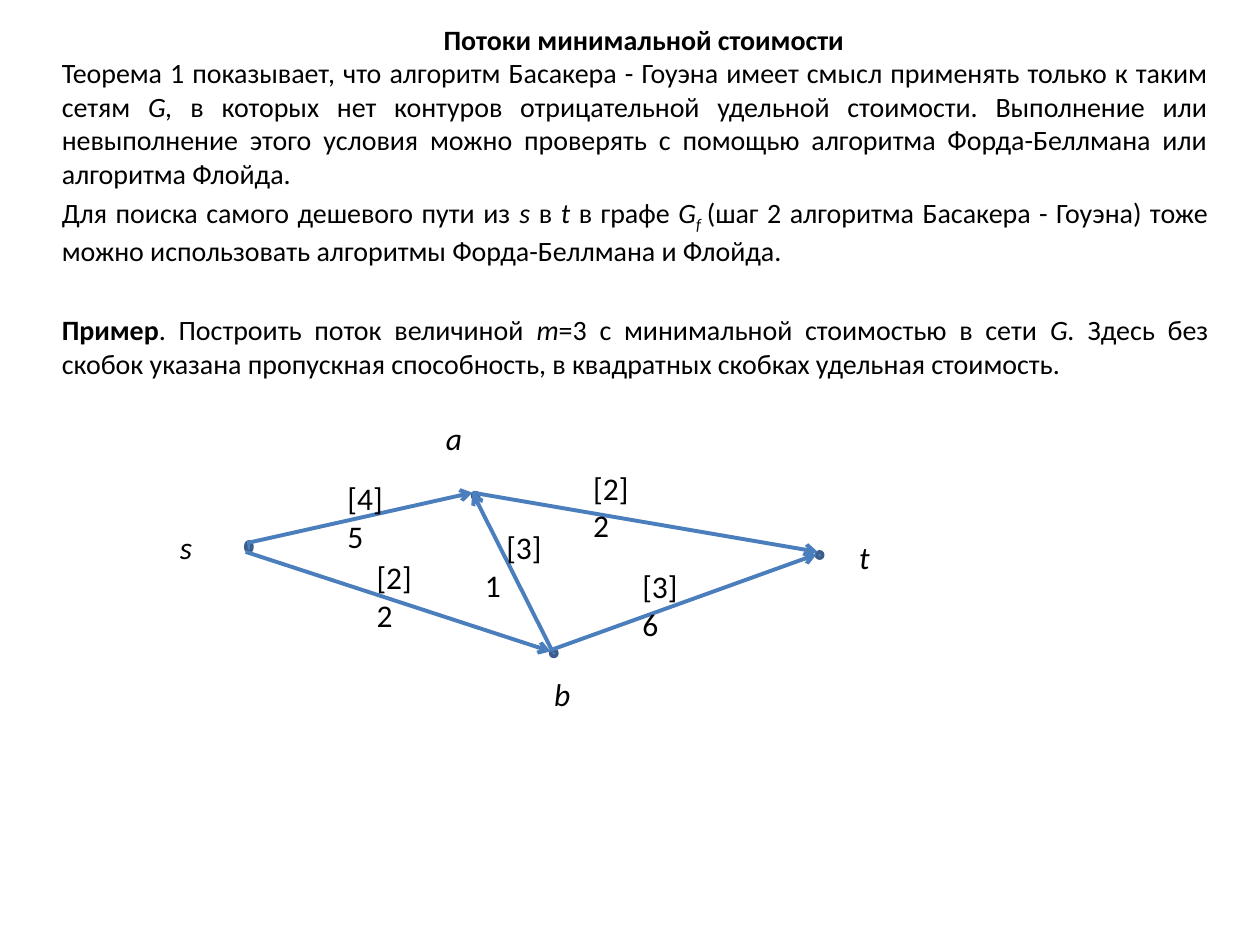
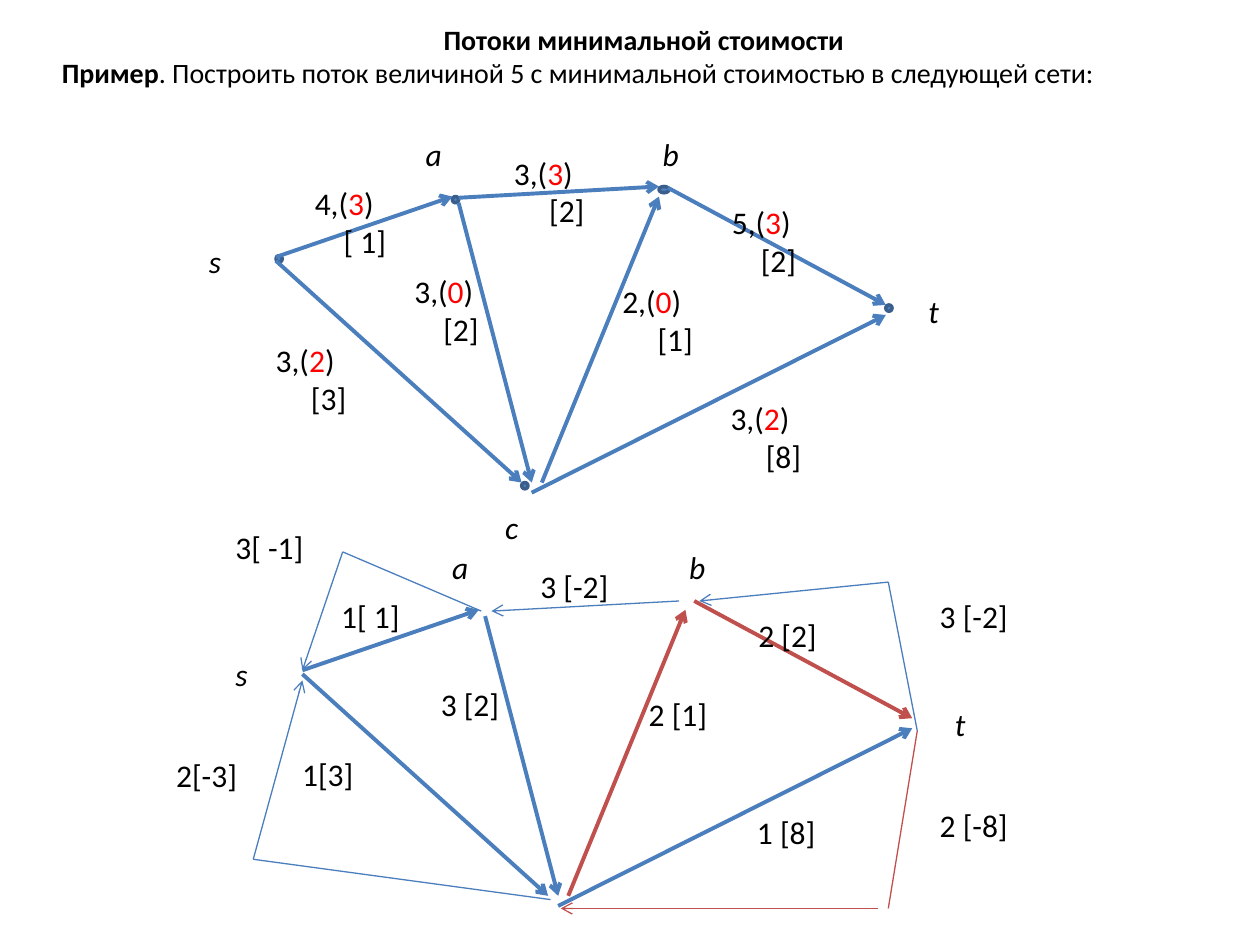
from itertools import pairwise

from pptx import Presentation
from pptx.dml.color import RGBColor
from pptx.enum.shapes import MSO_CONNECTOR, MSO_SHAPE
from pptx.enum.text import MSO_ANCHOR, MSO_AUTO_SIZE, PP_ALIGN
from pptx.oxml.xmlchemy import OxmlElement
from pptx.util import Pt

PX = 9144  # 100 px to the inch
FONT = "Calibri"
TITLE = "Потоки минимальной стоимости"
COLORS = {"text": "000000", "flow": "FF0000", "dot": "4F81BD", "dot_line": "3A5F8C",
          "arc": "4B7EBC", "path": "C0504D"}

# Arcs of the five-vertex network: start, end, label box (left, top, width), cost indent
ARCS = {
    "sa": ((110, 118), (250, 70), (131, 55, 80), 23),
    "ab": ((255, 71), (414, 62), (289, 31, 79), 28),
    "sc": ((110, 121), (305, 297), (100, 180, 80), 28),
    "bt": ((421, 63), (594, 156), (462, 70, 78), 23),
    "ct": ((313, 305), (594, 164), (461, 226, 87), 28),
    "ac": ((255, 75), (313, 297), (210, 125, 80), 23),
    "cb": ((321, 297), (414, 70), (375, 133, 79), 28),
}
VERTEX_NAMES = {"s": (47, 101), "a": (219, 16), "b": (407, 16), "t": (618, 141)}


def rgb(name):
    return RGBColor.from_string(COLORS[name])


def place(shape, left, top, width, height):
    shape.left, shape.top = left * PX, top * PX
    shape.width, shape.height = width * PX, height * PX


def style(font, size, color="text"):
    font.name, font.size = FONT, Pt(size)
    font.color.rgb = rgb(color)


def add_heading(slide):
    title = slide.shapes.title
    place(title, 86, 16, 850, 31)
    frame = title.text_frame
    frame.text = TITLE
    frame.vertical_anchor = MSO_ANCHOR.MIDDLE
    frame.auto_size = MSO_AUTO_SIZE.NONE
    paragraph = frame.paragraphs[0]
    paragraph.alignment = PP_ALIGN.CENTER
    style(paragraph.font, 16)
    paragraph.font.bold = True


def add_body(slide, paragraphs):
    """Each paragraph is (space before, runs); a run is (text, marks): b, i, _ for subscript."""
    body = slide.placeholders[1]
    place(body, 39, 39, 930, 695)
    frame = body.text_frame
    frame.auto_size = MSO_AUTO_SIZE.NONE
    for index, (space, runs) in enumerate(paragraphs):
        paragraph = frame.add_paragraph() if index else frame.paragraphs[0]
        paragraph.alignment = PP_ALIGN.JUSTIFY
        paragraph.space_before = Pt(space)
        style(paragraph.font, 16)
        for text, marks in runs:
            run = paragraph.add_run()
            run.text = text
            style(run.font, 16)
            run.font.bold = "b" in marks
            run.font.italic = "i" in marks
            if "_" in marks:
                run.font._element.set("baseline", "-25000")


class Network:
    """Draws the parts of a graph relative to the corner of its box."""

    def __init__(self, slide, left, top):
        self.shapes = slide.shapes
        self.left, self.top = left, top

    def dot(self, x, y, width=5, height=5):
        dot = self.shapes.add_shape(MSO_SHAPE.OVAL, 0, 0, 0, 0)
        place(dot, self.left + x, self.top + y, width, height)
        dot.shadow.inherit = False
        dot.fill.solid()
        dot.fill.fore_color.rgb = rgb("dot")
        dot.line.color.rgb = rgb("dot_line")
        dot.line.width = Pt(2)

    def line(self, start, end, color="arc", weight=2.25, arrow=True):
        points = [(offset + value) * PX for point in (start, end)
                  for offset, value in zip((self.left, self.top), point)]
        line = self.shapes.add_connector(MSO_CONNECTOR.STRAIGHT, *points)
        line.line.color.rgb = rgb(color)
        line.line.width = Pt(weight)
        if arrow:
            tail = OxmlElement("a:tailEnd")
            tail.set("type", "arrow")
            line.line._get_or_add_ln().append(tail)
        line._element.spPr.append(OxmlElement("a:effectLst"))

    def bent_arc(self, points, color="arc"):
        """Thin arc through the points, with an arrowhead at the last one."""
        for start, end in pairwise(points):
            self.line(start, end, color, 0.75, arrow=end == points[-1])

    def label(self, x, y, width, lines, italic=False):
        """Each line is (indent, runs); a run is (text, colour)."""
        box = self.shapes.add_textbox(0, 0, 0, 0)
        place(box, self.left + x, self.top + y, width, 9 + 31 * len(lines))
        frame = box.text_frame
        frame.word_wrap = True
        for index, (indent, runs) in enumerate(lines):
            paragraph = frame.add_paragraph() if index else frame.paragraphs[0]
            if indent:
                paragraph._p.get_or_add_pPr().set("marL", str(indent * PX))
            style(paragraph.font, 18)
            paragraph.font.italic = italic
            for text, color in runs:
                run = paragraph.add_run()
                run.text = text
                if color != "text":
                    run.font.color.rgb = rgb(color)

    def plain_label(self, x, y, width, *texts, indent=0):
        """Lines of black text, the first of them indented."""
        self.label(x, y, width, [(0 if index else indent, [(text, "text")])
                                 for index, text in enumerate(texts)])

    def vertex_names(self, names):
        for name, (x, y) in names.items():
            self.label(x, y, 39, [(0, [(name, "text")])], italic=True)


def draw_four_vertex_network(slide, left, top):
    network = Network(slide, left, top)
    for dot in [(62, 102, 5, 8), (242, 63), (304, 188), (515, 110)]:
        network.dot(*dot)
    for start, end in [((62, 110), (304, 189)), ((305, 188), (242, 63)),
                       ((63, 103), (242, 63)), ((242, 63), (516, 110)),
                       ((304, 188), (515, 112))]:
        network.line(start, end)
    network.vertex_names({"s": (0, 86), "t": (539, 94), "a": (211, 0), "b": (297, 203)})
    for x, y, cost, capacity, indent in [
            (156, 110, "[2]", "2", 0), (367, 117, "[3]", "6", 0), (328, 39, "[2]", "2", 0),
            (133, 47, "[4]", "5", 0), (242, 86, "[3]", "1", 17)]:
        network.plain_label(x, y, 70, cost, capacity, indent=indent)


def draw_flow_network(slide, left, top):
    network = Network(slide, left, top)
    for dot in [(110, 117), (250, 70), (414, 62, 8, 5), (305, 297), (594, 156)]:
        network.dot(*dot)
    flows = {"sa": ("4", "3", "[ 1]"), "ab": ("3", "3", "[2]"), "sc": ("3", "2", "[3]"),
             "bt": ("5", "3", "[2]"), "ct": ("3", "2", "[8]"), "ac": ("3", "0", "[2]"),
             "cb": ("2", "0", "[1]")}
    for start, end, _, _ in ARCS.values():
        network.line(start, end)
    network.vertex_names(VERTEX_NAMES | {"c": (282, 312)})
    for arc, (capacity, flow, cost) in flows.items():
        _, _, label_box, indent = ARCS[arc]
        network.label(*label_box, [
            (0, [(f"{capacity},(", "text"), (flow, "flow"), (")", "text")]),
            (indent, [(cost, "text")])])


def draw_residual_network(slide, left, top):
    network = Network(slide, left, top)
    labels = {"sa": "1[ 1]", "sc": "1[3]", "ab": "3 [-2]", "bt": "2 [2]",
              "ct": "1 [8]", "cb": "2 [1]", "ac": "3 [2]"}
    for arc, (start, end, _, _) in ARCS.items():
        if arc != "ab":
            network.line(start, end, "path" if arc in ("bt", "cb") else "arc")
    network.vertex_names(VERTEX_NAMES)
    for arc, text in labels.items():
        network.plain_label(*ARCS[arc][2], text)

    for points in [[(252, 71), (142, 24), (110, 118)],
                   [(598, 166), (575, 48), (425, 63)],
                   [(307, 300), (71, 268), (110, 126)],
                   [(409, 63), (260, 71)]]:
        network.bent_arc(points)
    network.line((598, 166), (575, 307), "path", 0.75, arrow=False)
    network.bent_arc([(567, 307), (315, 307)], "path")
    for x, y, width, text in [(47, 0, 80, "3[ -1]"), (0, 181, 80, "2[-3]"),
                              (606, 221, 87, "2 [-8]"), (606, 55, 87, "3 [-2]")]:
        network.plain_label(x, y, width, text)


def add_slide(presentation, paragraphs):
    slide = presentation.slides.add_slide(presentation.slide_layouts[0])
    add_heading(slide)
    add_body(slide, paragraphs)
    return slide


def main():
    presentation = Presentation()
    presentation.slide_width, presentation.slide_height = 1000 * PX, 750 * PX

    theorem = add_slide(presentation, [
        (0, [("Теорема 1 показывает, что алгоритм Басакера - Гоуэна имеет смысл применять "
              "только к таким сетям ", ""), ("G, ", "i"),
             ("в которых нет контуров отрицательной удельной стоимости. Выполнение или "
              "невыполнение этого условия можно проверять с помощью алгоритма "
              "Форда-Беллмана или алгоритма Флойда.", "")]),
        (3.2, [("Для поиска самого дешевого пути из ", ""), ("s ", "i"), ("в ", ""),
               ("t ", "i"), ("в графе ", ""), ("G", "i"), ("f ", "i_"),
               ("(шаг 2 алгоритма Басакера - Гоуэна) тоже можно использовать алгоритмы "
                "Форда-Беллмана и Флойда.", "")]),
        (26, [("Пример", "b"), (". Построить поток величиной ", ""), ("m", "i"),
              ("=3 с минимальной стоимостью в сети ", ""), ("G. ", "i"),
              ("Здесь без скобок указана пропускная способность, в квадратных скобках "
               "удельная стоимость.", "")]),
    ])
    draw_four_vertex_network(theorem, 133, 328)

    example = add_slide(presentation, [
        (0, [("Пример", "b"),
             (". Построить поток величиной 5 с минимальной стоимостью в следующей сети:", "")]),
    ])
    draw_flow_network(example, 109, 86)
    draw_residual_network(example, 130, 414)

    presentation.save("out.pptx")


if __name__ == "__main__":
    main()
